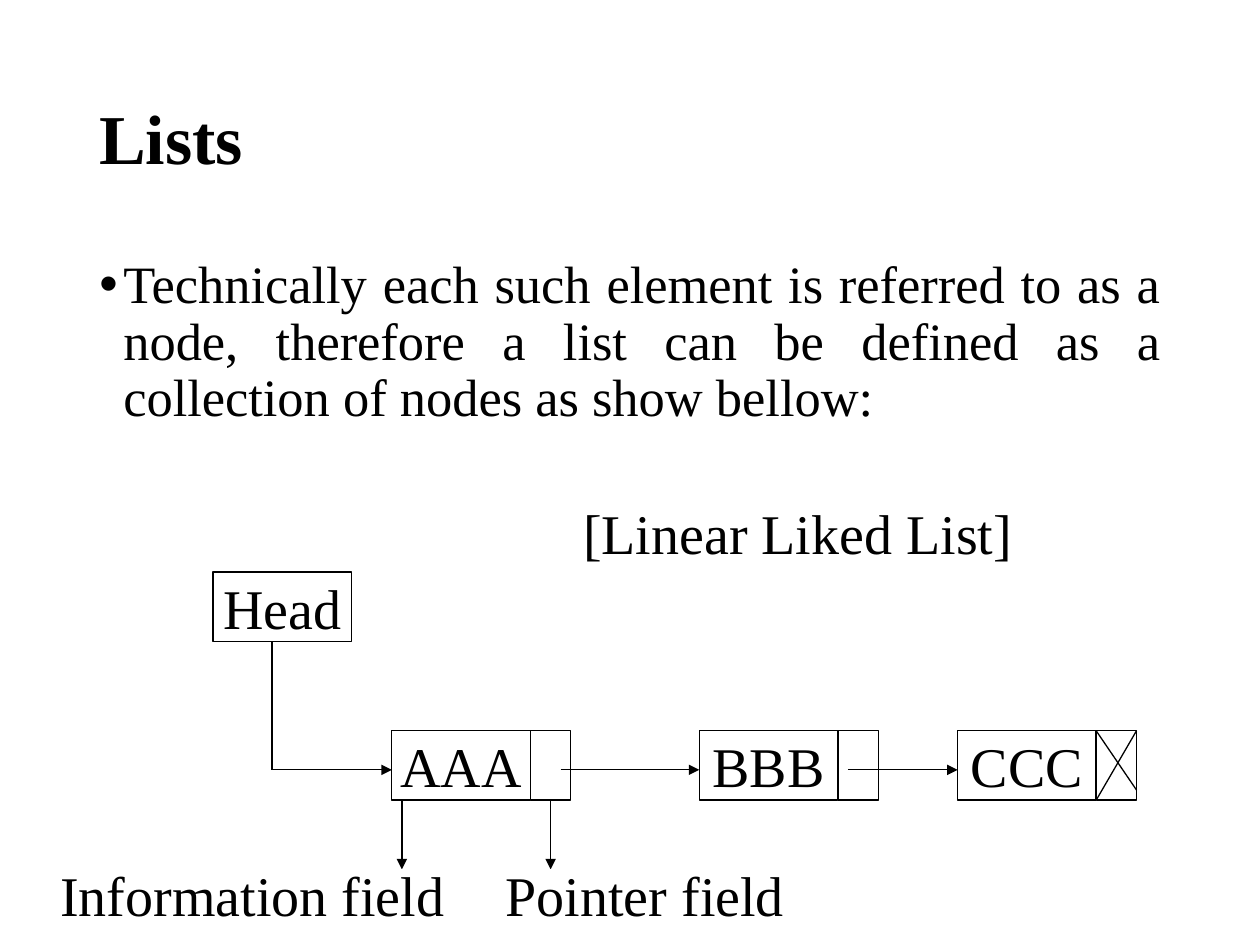
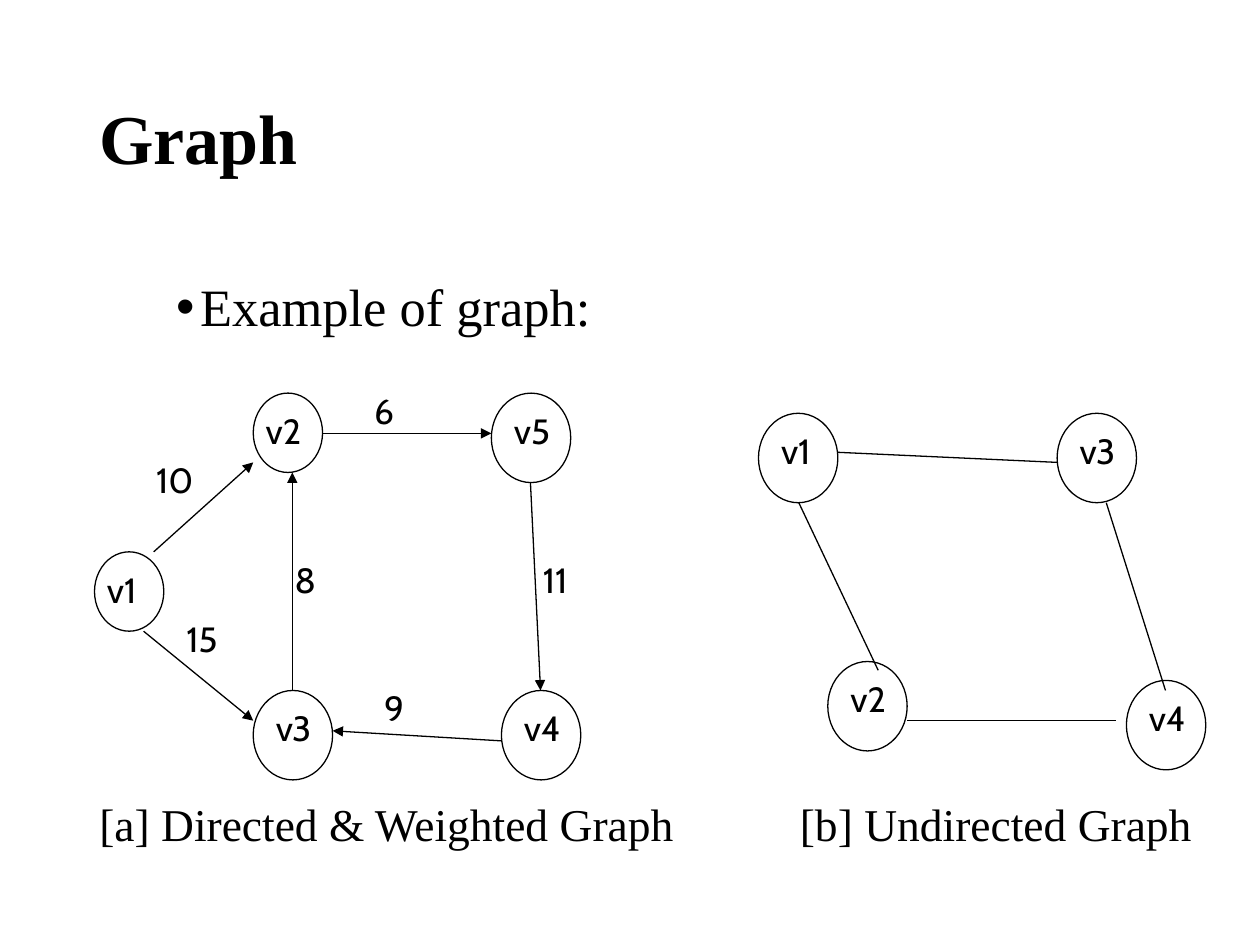
from lxml import etree
from pptx import Presentation, util as u
from pptx.dml.color import RGBColor
from pptx.enum import shapes, text
from pptx.oxml.ns import qn

PX = 9144  # 100 px to the inch
INK = {"text": "000000", "line": "000000", "paper": "FFFFFF"}
SERIF, SANS = "Times New Roman", "Cabin"
KIND, ALIGN, ANCHOR = shapes.MSO_SHAPE, text.PP_ALIGN, text.MSO_ANCHOR


def tint(name):
    return RGBColor.from_string(INK[name])


class Deck:
    """Holds the shared style and the slide being filled."""

    def __init__(self):
        self.prs = Presentation()
        self.prs.slide_width, self.prs.slide_height = 1000 * PX, 750 * PX
        self.slide = None

    def page(self, title):
        self.slide = self.prs.slides.add_slide(self.prs.slide_layouts[6])
        para = self.words(title, 69, 40, 863, 145, 40, anchor=ANCHOR.MIDDLE)
        para.font.bold = True
        para.line_spacing = 0.9

    def style(self, para, words, size, font, align):
        para.text = words
        para.alignment = align
        para.font.size = u.Pt(size)
        para.font.name = font
        para.font.color.rgb = tint("text")
        return para

    def words(self, words, x, y, w, h, size, font=SERIF,
              align=ALIGN.LEFT, anchor=ANCHOR.TOP):
        box = self.slide.shapes.add_textbox(x * PX, y * PX, w * PX, h * PX)
        frame = box.text_frame
        frame.word_wrap = True
        frame.vertical_anchor = anchor
        return self.style(frame.paragraphs[0], words, size, font, align)

    def bullet(self, words, x, y, w, h):
        para = self.words(words, x, y, w, h, 30, align=ALIGN.JUSTIFY)
        para.line_spacing = 0.9
        props = para._p.get_or_add_pPr()
        props.set("marL", str(19 * PX))
        props.set("indent", str(-19 * PX))
        color = etree.SubElement(props, qn("a:buClr"))
        etree.SubElement(color, qn("a:srgbClr"), val=INK["text"])
        etree.SubElement(props, qn("a:buFont"), typeface="Arial")
        etree.SubElement(props, qn("a:buChar"), char="•")

    def shape(self, kind, x, y, w, h, edge="line"):
        item = self.slide.shapes.add_shape(kind, x * PX, y * PX, w * PX, h * PX)
        item.shadow.inherit = False
        item.fill.solid()
        item.fill.fore_color.rgb = tint("paper")
        item.line.color.rgb = tint(edge)
        item.line.width = u.Pt(0.75)
        return item

    def box(self, words, x, y, w, h, edge="line"):
        frame = self.shape(KIND.RECTANGLE, x, y, w, h, edge).text_frame
        frame.word_wrap = False
        frame.vertical_anchor = ANCHOR.MIDDLE
        self.style(frame.paragraphs[0], words, 32, SERIF, ALIGN.CENTER)

    def label(self, words, x, y, w=55):
        self.words(words, x, y, w, 44, 20, SANS)

    def node(self, name, x, y, w=63, h=71):
        """Draw a circle whose label keeps to its right edge."""
        self.shape(KIND.OVAL, x, y, w, h)
        self.label(name, x + w - 55, y + 8)

    def line(self, x1, y1, x2, y2, arrow=False):
        link = self.slide.shapes.add_connector(
            shapes.MSO_CONNECTOR.STRAIGHT, x1 * PX, y1 * PX, x2 * PX, y2 * PX)
        link.line.color.rgb = tint("line")
        link.line.width = u.Pt(0.75)
        if arrow:
            etree.SubElement(link.line._get_or_add_ln(), qn("a:tailEnd"),
                             type="triangle")
        etree.SubElement(link._element.spPr, qn("a:effectLst"))


def lists(deck):
    deck.page("Lists")
    deck.bullet("Technically each such element is referred to as a node, "
                "therefore a list can be defined as a collection of nodes "
                "as show bellow:", 69, 200, 863, 476)
    deck.box("Head", 169, 454, 110, 55)
    for name, x in (("AAA", 311), ("BBB", 555), ("CCC", 760)):
        deck.box(name, x, 580, 110, 55)
        deck.shape(KIND.RECTANGLE, x + 110, 580, 32, 55)
    deck.line(870, 580, 902, 627)
    deck.line(902, 580, 870, 635)

    deck.line(216, 509, 216, 611)
    for start, end in ((216, 311), (445, 555), (673, 760)):
        deck.line(start, 611, end, 611, arrow=True)
    for name, x, w, stem in (("Information field", 59, 283, 319),
                             ("Pointer field", 398, 228, 437)):
        deck.line(stem, 635, stem, 690, arrow=True)
        deck.box(name, x, 690, w, 39, edge="paper")
    deck.words("[Linear Liked List]", 453, 391, 394, 64, 32)


def graph(deck):
    deck.page("Graph")
    deck.bullet("Example of graph:", 130, 218, 850, 450)

    deck.node("v2", 201, 312, 55, 63)
    deck.node("v1", 75, 438, 55, 63)
    for name, x, y in (("v5", 390, 312), ("v3", 201, 548), ("v4", 398, 548),
                       ("v1", 602, 328), ("v2", 657, 525),
                       ("v4", 894, 540), ("v3", 839, 328)):
        deck.node(name, x, y)

    arcs = (("10", (114, 359), (122, 438, 201, 367)),
            ("15", (138, 485), (114, 501, 201, 572)),
            ("8", (224, 438), (232, 548, 232, 375)),
            ("6", (287, 304), (256, 344, 390, 344)),
            ("11", (421, 438), (421, 383, 429, 548)),
            ("9", (295, 540), (398, 588, 264, 580)))
    for weight, spot, ends in arcs:
        deck.line(*ends, arrow=True)
        deck.label(weight, *spot)

    for ends in ((665, 359, 839, 367), (720, 572, 886, 572),
                 (634, 399, 697, 532), (878, 399, 925, 548)):
        deck.line(*ends)

    deck.words("[a] Directed & Weighted Graph", 69, 627, 487, 54, 26)
    deck.words("[b] Undirected Graph", 625, 627, 370, 54, 26)


def main():
    deck = Deck()
    lists(deck)
    graph(deck)
    deck.prs.save("out.pptx")


if __name__ == "__main__":
    main()
